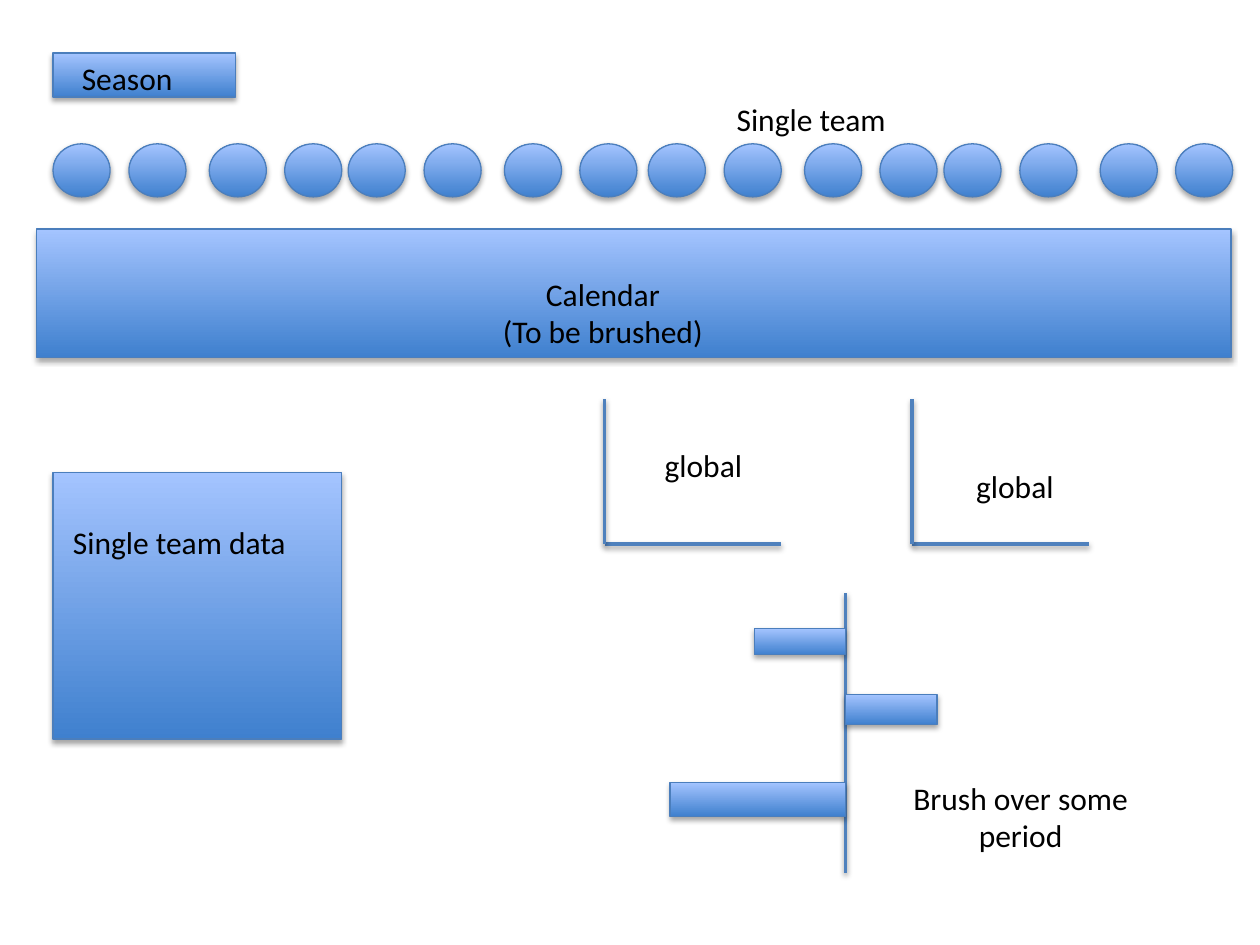
import pptx
import pptx.dml.color
import pptx.enum.shapes
import pptx.enum.text
import pptx.oxml
import pptx.oxml.ns
import pptx.util
from dataclasses import dataclass

Cm, Pt = pptx.util.Cm, pptx.util.Pt
MSO = pptx.enum.shapes.MSO_SHAPE
ALIGN = pptx.enum.text.PP_ALIGN


@dataclass(frozen=True)
class Theme:
    """Colours, type and line sizes of the slide."""
    dark: str = "3F80CE"
    light: str = "A4C4FF"
    outline: str = "4B7EBC"
    axis: str = "4F81BD"
    text: str = "000000"
    font: str = "Calibri"
    size: float = 18
    outline_width: float = 0.75
    axis_width: float = 2


THEME = Theme()


def rgb(value):
    """Turn a hex string into a colour."""
    return pptx.dml.color.RGBColor.from_string(value)


def add_shadow(sp, distance, opacity):
    """Give a shape or connector a soft shadow that falls straight down."""
    sp_pr = sp._element.spPr
    for old in sp_pr.findall(pptx.oxml.ns.qn("a:effectLst")):
        sp_pr.remove(old)
    sp_pr.append(pptx.oxml.parse_xml(
        f'<a:effectLst {pptx.oxml.ns.nsdecls("a")}>'
        f'<a:outerShdw blurRad="{Pt(3.1)}" dist="{Pt(distance)}" dir="5400000" rotWithShape="0">'
        f'<a:srgbClr val="000000"><a:alpha val="{opacity * 1000}"/></a:srgbClr>'
        '</a:outerShdw></a:effectLst>'))


def add_block(s, kind, left, top, width, height):
    """Add a preset shape with the gradient fill, dark at the bottom."""
    sp = s.shapes.add_shape(kind, Cm(left), Cm(top), Cm(width), Cm(height))
    sp.fill.gradient()
    sp.fill.gradient_angle = 90
    for stop, position, colour in zip(sp.fill.gradient_stops, (0, 1), (THEME.dark, THEME.light)):
        stop.position = position
        stop.color.rgb = rgb(colour)
    sp.line.color.rgb = rgb(THEME.outline)
    sp.line.width = Pt(THEME.outline_width)
    add_shadow(sp, 1.8, 35)


def add_line(s, x1, y1, x2, y2):
    """Add one straight axis line."""
    line = s.shapes.add_connector(pptx.enum.shapes.MSO_CONNECTOR.STRAIGHT,
                                  Cm(x1), Cm(y1), Cm(x2), Cm(y2))
    line.line.color.rgb = rgb(THEME.axis)
    line.line.width = Pt(THEME.axis_width)
    add_shadow(line, 1.6, 38)


def add_label(s, lines, left, top, width, height=1.02, align=ALIGN.CENTER):
    """Add a text box with one paragraph for each line."""
    tf = s.shapes.add_textbox(Cm(left), Cm(top), Cm(width), Cm(height)).text_frame
    tf.word_wrap = True
    tf.auto_size = pptx.enum.text.MSO_AUTO_SIZE.SHAPE_TO_FIT_TEXT
    for i, text in enumerate(lines):
        p = tf.add_paragraph() if i else tf.paragraphs[0]
        p.alignment = align
        r = p.add_run()
        r.text = text
        r.font.name = THEME.font
        r.font.size = Pt(THEME.size)
        r.font.color.rgb = rgb(THEME.text)


def add_teams(s):
    """Add the row of team circles: four groups of four."""
    for start in (1.07, 7.02, 13.07, 19.03):
        for offset in (0, 1.53, 3.15, 4.67):
            add_block(s, MSO.OVAL, start + offset, 2.9, 1.15, 1.07)


def add_global_chart(s, x, label_x, label_y):
    """Add an empty pair of chart axes with its label."""
    top, base = 8.05, 10.97
    add_line(s, x, base, x + 3.56, base)
    add_line(s, x, top, x, base)
    add_label(s, ["global"], label_x, label_y, 3.12)


def add_bar_chart(s):
    """Add the upright axis with bars to its left and right."""
    axis = 17.04
    add_line(s, axis, 11.96, axis, 17.6)
    for length, top, height in ((-1.83, 12.67, 0.53), (1.85, 14, 0.61), (-3.53, 15.77, 0.69)):
        add_block(s, MSO.RECTANGLE, axis + min(length, 0), top, abs(length), height)
    add_label(s, ["Brush over some period"], 17.35, 15.57, 6.45, 1.8)


def main():
    """Build the slide and save it."""
    prs = pptx.Presentation()
    prs.slide_width, prs.slide_height = Cm(25.4), Cm(19.05)
    s = prs.slides.add_slide(prs.slide_layouts[6])

    add_block(s, MSO.RECTANGLE, 1.07, 9.52, 5.82, 5.38)
    add_block(s, MSO.RECTANGLE, 1.07, 1.07, 3.68, 0.89)
    add_label(s, ["Season"], 1.4, 1.07, 3.35, align=ALIGN.LEFT)
    add_teams(s)
    add_block(s, MSO.RECTANGLE, 0.74, 4.62, 24.08, 2.59)
    add_label(s, ["Calendar", "(To be brushed)"], 8.56, 5.41, 7.19, 1.8)
    add_global_chart(s, 12.19, 12.62, 8.86)
    add_global_chart(s, 18.39, 18.9, 9.3)
    add_bar_chart(s)
    add_label(s, ["Single team"], 14.6, 1.9, 5.94, align=ALIGN.LEFT)
    add_label(s, ["Single team data"], 1.22, 10.41, 5.94, align=ALIGN.LEFT)

    prs.save("out.pptx")


main()
